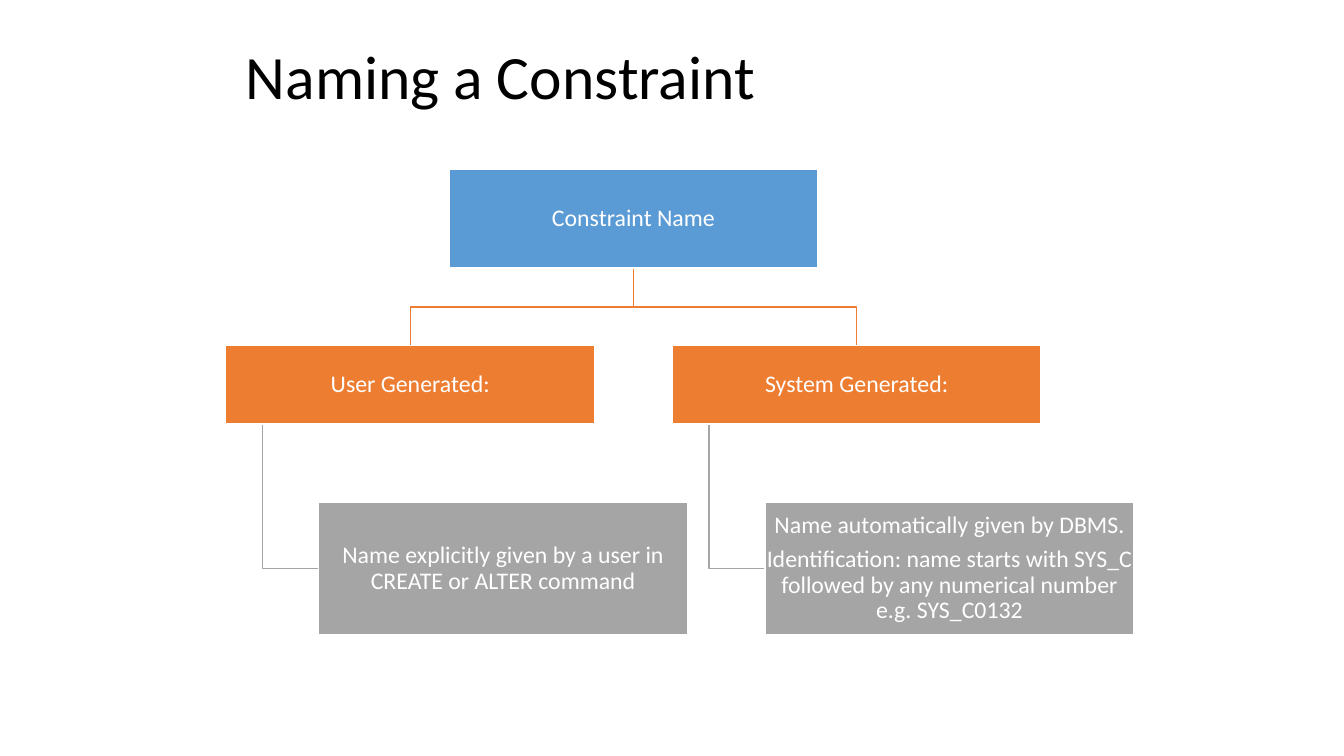
from dataclasses import dataclass
from pptx import Presentation
from pptx.dml.color import RGBColor
from pptx.enum.shapes import MSO_SHAPE
from pptx.enum.text import MSO_ANCHOR, MSO_AUTO_SIZE, PP_ALIGN
from pptx.shapes.autoshape import Shape
from pptx.slide import Slide
from pptx.text.text import TextFrame
from pptx.util import Cm, Pt


@dataclass(frozen=True)
class Theme:
    font: str = "Calibri"
    black: str = "000000"
    white: str = "FFFFFF"
    blue: str = "5B9BD5"
    orange: str = "ED7D31"
    grey: str = "A5A5A5"
    title: int = 44
    body: int = 17
    after: int = 6
    line: int = 1


@dataclass(frozen=True)
class Box:
    left: float
    top: float
    height: float
    fill: str
    lines: tuple[str, ...]
    width: float = 9.3

    @property
    def middle(self) -> float:
        return self.left + self.width / 2

    @property
    def bottom(self) -> float:
        return self.top + self.height


@dataclass(frozen=True)
class Link:
    points: tuple[tuple[float, float], ...]
    color: str


THEME = Theme()
LEFT, STEP, INDENT = 5.69, 11.25, 2.34
BRANCHES = (
    ("User Generated:",
     ("Name explicitly given by a user in CREATE or ALTER command",)),
    ("System Generated:",
     ("Name automatically given by DBMS.",
      "Identification: name starts with SYS_C followed by any numerical number e.g. SYS_C0132")),
)


def fork(root: Box, kind: Box) -> Link:
    level = (root.bottom + kind.top) / 2
    return Link(((root.middle, root.bottom), (root.middle, level),
                 (kind.middle, level), (kind.middle, kind.top)), THEME.orange)


def elbow(kind: Box, note: Box) -> Link:
    stem = kind.left + kind.width / 10
    level = note.top + note.height / 2
    return Link(((stem, kind.bottom), (stem, level), (note.left, level)), THEME.grey)


def write(frame: TextFrame, lines: tuple[str, ...], size: int, color: str,
          align: PP_ALIGN, after: int) -> None:
    frame.word_wrap = True
    frame.auto_size = MSO_AUTO_SIZE.NONE
    frame.vertical_anchor = MSO_ANCHOR.MIDDLE
    for index, line in enumerate(lines):
        para = frame.add_paragraph() if index else frame.paragraphs[0]
        para.alignment = align
        para.line_spacing = 0.9
        para.space_before = Pt(0)
        para.space_after = Pt(after)
        run = para.add_run()
        run.text = line
        run.font.name = THEME.font
        run.font.size = Pt(size)
        run.font.color.rgb = RGBColor.from_string(color)


def stroke(shape: Shape, color: str) -> None:
    shape.shadow.inherit = False
    shape.line.color.rgb = RGBColor.from_string(color)
    shape.line.width = Pt(THEME.line)


def join(slide: Slide, link: Link) -> None:
    first, *rest = [(Cm(x), Cm(y)) for x, y in link.points]
    pen = slide.shapes.build_freeform(*first)
    pen.add_line_segments(rest, close=False)
    shape = pen.convert_to_shape()
    shape.fill.background()
    stroke(shape, link.color)


def draw(slide: Slide, box: Box) -> None:
    shape = slide.shapes.add_shape(MSO_SHAPE.RECTANGLE, Cm(box.left), Cm(box.top),
                                   Cm(box.width), Cm(box.height))
    shape.fill.solid()
    shape.fill.fore_color.rgb = RGBColor.from_string(box.fill)
    stroke(shape, THEME.white)
    frame = shape.text_frame
    frame.margin_left = frame.margin_right = Cm(0.03)
    frame.margin_top = frame.margin_bottom = Cm(0.03)
    write(frame, box.lines, THEME.body, THEME.white, PP_ALIGN.CENTER, THEME.after)


def head(slide: Slide, text: str) -> None:
    title = slide.shapes.title
    title.left, title.top = Cm(5.94), Cm(0.64)
    title.width, title.height = Cm(22.66), Cm(2.74)
    write(title.text_frame, (text,), THEME.title, THEME.black, PP_ALIGN.LEFT, 0)


def main() -> None:
    deck = Presentation()
    deck.slide_width, deck.slide_height = Cm(33.87), Cm(19.05)
    slide = deck.slides.add_slide(deck.slide_layouts[5])
    head(slide, "Naming a Constraint")

    root = Box(LEFT + STEP / 2, 4.27, 2.49, THEME.blue, ("Constraint Name",))
    boxes, links = [root], []
    for index, (name, lines) in enumerate(BRANCHES):
        left = LEFT + index * STEP
        kind = Box(left, 8.71, 1.98, THEME.orange, (name,))
        note = Box(left + INDENT, 12.65, 3.35, THEME.grey, lines)
        boxes += [kind, note]
        links += [fork(root, kind), elbow(kind, note)]

    for link in reversed(links):
        join(slide, link)
    for box in boxes:
        draw(slide, box)
    deck.save("out.pptx")


if __name__ == "__main__":
    main()
